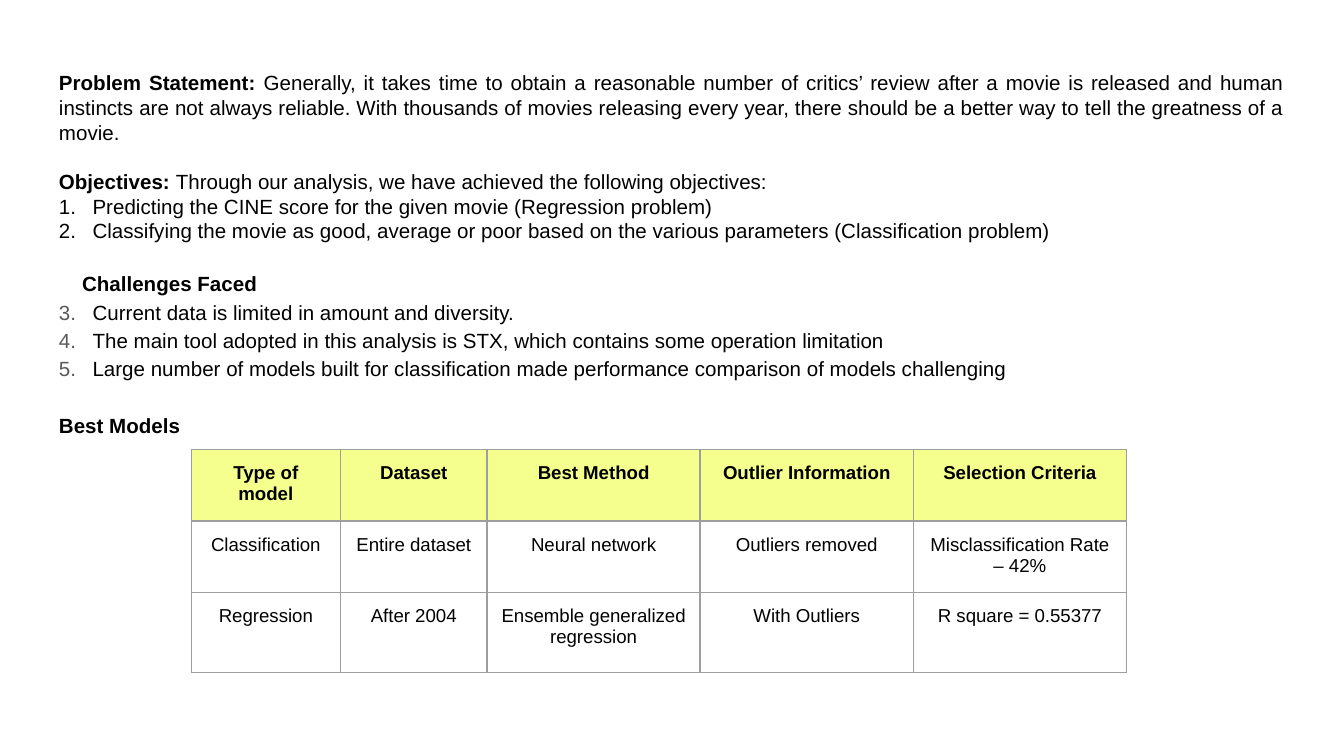
from lxml import etree
from pptx import Presentation
from pptx.dml.color import RGBColor
from pptx.enum import text as t
from pptx.oxml import ns
from pptx.util import Pt

FONT = "Arial"
BLACK, GREY, BORDER, YELLOW = "000000", "595959", "9E9E9E", "F5FF8D"
INSET = 7.2
LEFT, CENTER, JUSTIFY = t.PP_ALIGN.LEFT, t.PP_ALIGN.CENTER, t.PP_ALIGN.JUSTIFY

STATEMENT = (
    " Generally, it takes time to obtain a reasonable number of critics’ review "
    "after a movie is released and human instincts are not always reliable. With "
    "thousands of movies releasing every year, there should be a better way to "
    "tell the greatness of a movie."
)
OBJECTIVES = [
    "Predicting the CINE score for the given movie (Regression problem)",
    "Classifying the movie as good, average or poor based on the various "
    "parameters (Classification problem)",
]
CHALLENGES = [
    "Current data is limited in amount and diversity.",
    "The main tool adopted in this analysis is STX, which contains some "
    "operation limitation",
    "Large number of models built for classification made performance "
    "comparison of models challenging",
]
MODELS = [
    ["Type of model", "Dataset", "Best Method", "Outlier Information",
     "Selection Criteria"],
    ["Classification", "Entire dataset", "Neural network", "Outliers removed",
     "Misclassification Rate – 42%"],
    ["Regression", "After 2004", "Ensemble generalized regression",
     "With Outliers", "R square = 0.55377"],
]
COLUMN_WIDTHS = [80, 78.5, 114.2, 114.2, 114.2]
ROW_HEIGHTS = [38.3, 38.3, 42.8]


def color(value):
    return RGBColor.from_string(value)


def add_run(paragraph, content, size=11, bold=False):
    run = paragraph.add_run()
    run.text = content
    run.font.name = FONT
    run.font.size = Pt(size)
    run.font.bold = bold
    run.font.color.rgb = color(BLACK)


def add_paragraph(frame, content, heading="", size=11, align=LEFT, spacing=1.0,
                  before=0, margin=0):
    first = frame.paragraphs[0]
    paragraph = frame.add_paragraph() if first.runs else first
    paragraph.alignment = align
    paragraph.line_spacing = spacing
    paragraph.space_before = Pt(before)
    paragraph.space_after = Pt(0)
    if margin:
        paragraph._p.get_or_add_pPr().set("marL", str(Pt(margin)))
    if heading:
        add_run(paragraph, heading, size, bold=True)
    if content:
        add_run(paragraph, content, size)
    return paragraph


def add_numbered(frame, items, start, number_color, **format):
    for item in items:
        paragraph = add_paragraph(frame, item, margin=18, **format)
        properties = paragraph._p.get_or_add_pPr()
        properties.set("indent", str(-Pt(18)))
        fill = etree.SubElement(properties, ns.qn("a:buClr"))
        etree.SubElement(fill, ns.qn("a:srgbClr"), val=number_color)
        etree.SubElement(properties, ns.qn("a:buFont"), typeface=FONT)
        etree.SubElement(properties, ns.qn("a:buAutoNum"),
                         type="arabicPeriod", startAt=str(start))


def add_summary(slide):
    shape = slide.shapes.add_textbox(Pt(24.5), Pt(17.3), Pt(671), Pt(347.8))
    frame = shape.text_frame
    frame.word_wrap = True
    frame.margin_left = frame.margin_right = frame.margin_bottom = Pt(INSET)
    frame.margin_top = Pt(INSET + 13.2)
    add_paragraph(frame, STATEMENT, "Problem Statement:", align=JUSTIFY)
    add_paragraph(frame,
                  "Through our analysis, we have achieved the following objectives:",
                  "Objectives: ", align=JUSTIFY, before=13.2)
    add_numbered(frame, OBJECTIVES, 1, BLACK, align=JUSTIFY)
    add_paragraph(frame, "", "Challenges Faced", spacing=1.15, before=13.2,
                  margin=12.4)
    add_numbered(frame, CHALLENGES, 3, GREY, spacing=1.15)
    add_paragraph(frame, "", "Best Models", spacing=1.15, before=15.2)


def add_borders(cell):
    properties = cell._tc.get_or_add_tcPr()
    for side in ("lnL", "lnR", "lnT", "lnB"):
        line = etree.SubElement(properties, ns.qn("a:" + side), w=str(Pt(0.75)))
        fill = etree.SubElement(line, ns.qn("a:solidFill"))
        etree.SubElement(fill, ns.qn("a:srgbClr"), val=BORDER)


def fill_cell(cell, content, is_header):
    cell.margin_left = cell.margin_right = Pt(INSET)
    cell.margin_top = cell.margin_bottom = Pt(INSET)
    cell.vertical_anchor = t.MSO_ANCHOR.TOP
    add_borders(cell)
    if is_header:
        cell.fill.solid()
        cell.fill.fore_color.rgb = color(YELLOW)
        add_paragraph(cell.text_frame, "", content, size=10, align=CENTER)
    else:
        cell.fill.background()
        add_paragraph(cell.text_frame, content, size=10, align=CENTER)


def add_models_table(slide):
    frame = slide.shapes.add_table(
        len(MODELS), len(MODELS[0]), Pt(102.4), Pt(240.6),
        Pt(sum(COLUMN_WIDTHS)), Pt(sum(ROW_HEIGHTS)))
    table = frame.table
    table.first_row = table.horz_banding = False
    for column, width in zip(table.columns, COLUMN_WIDTHS):
        column.width = Pt(width)
    for row, height in zip(table.rows, ROW_HEIGHTS):
        row.height = Pt(height)
    for row_index, values in enumerate(MODELS):
        for column_index, value in enumerate(values):
            fill_cell(table.cell(row_index, column_index), value, row_index == 0)


def main():
    presentation = Presentation()
    presentation.slide_width = Pt(720)
    presentation.slide_height = Pt(405)
    slide = presentation.slides.add_slide(presentation.slide_layouts[6])
    add_summary(slide)
    add_models_table(slide)
    presentation.save("out.pptx")


main()
